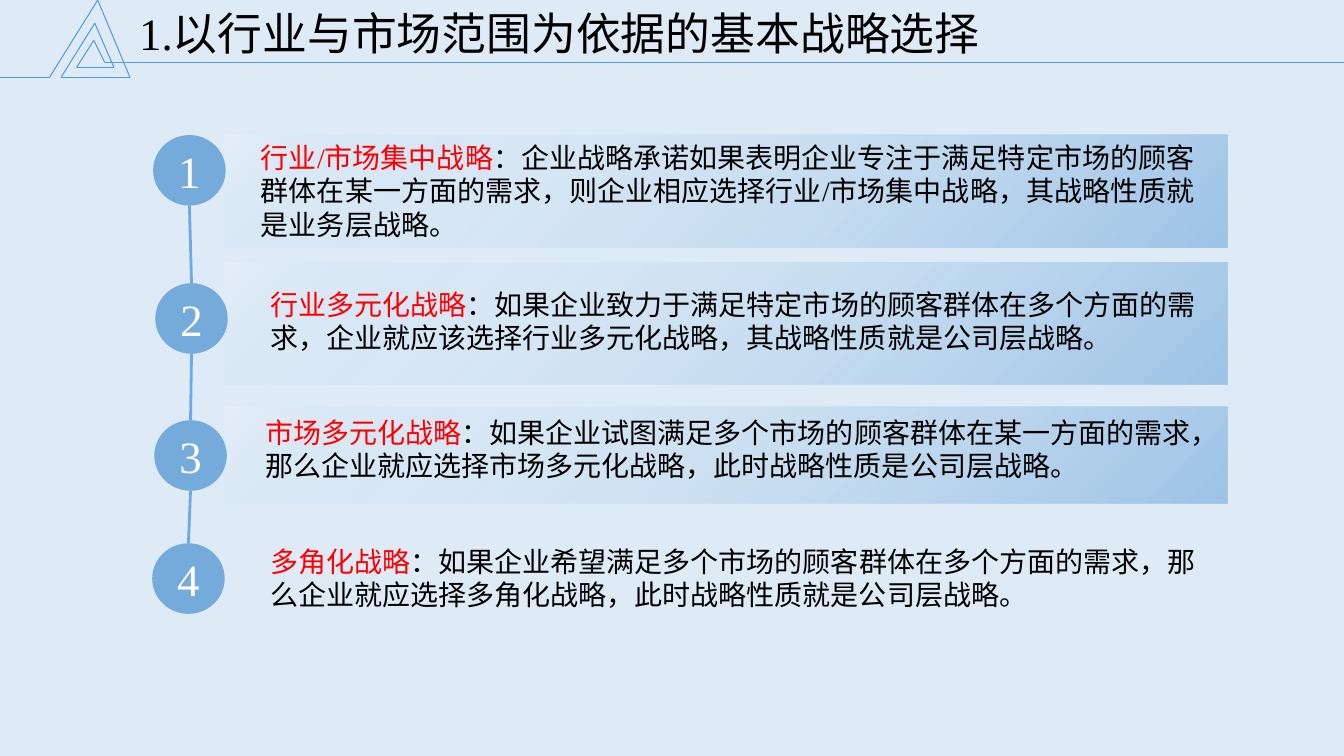
from itertools import pairwise

from pptx import Presentation
from pptx.dml.color import RGBColor
from pptx.enum.shapes import MSO_CONNECTOR, MSO_SHAPE
from pptx.enum.text import MSO_ANCHOR, MSO_AUTO_SIZE, PP_ALIGN
from pptx.oxml import parse_xml
from pptx.oxml.ns import nsdecls, qn
from pptx.util import Pt

STRAIGHT = MSO_CONNECTOR.STRAIGHT
RECTANGLE, OVAL = MSO_SHAPE.RECTANGLE, MSO_SHAPE.OVAL
TOP, MIDDLE = MSO_ANCHOR.TOP, MSO_ANCHOR.MIDDLE
FIXED, GROW = MSO_AUTO_SIZE.NONE, MSO_AUTO_SIZE.SHAPE_TO_FIT_TEXT
LEFT, CENTER = PP_ALIGN.LEFT, PP_ALIGN.CENTER

COLORS = {
    "background": "DEEBF7", "line": "4F9CE1", "circle": "5B9BD5", "pale": "B5D2EC",
    "white": "FFFFFF", "term": "FF0000", "text": "000000",
}
BAND_STOPS = [(0, "circle", 50), (67, "pale", 20), (88, "pale", 10), (100, "white", 20)]
EMBLEM = [
    (0, 55.4), (35.3, 55.4), (69.8, 0), (92.9, 55.4), (43.5, 55.4), (67.7, 16.6),
    (81.4, 48.2), (54.7, 48.2), (67, 28.8), (74.9, 44.6), (960, 44.6),
]
CIRCLE_WIDTH, CIRCLE_HEIGHT = 51.8, 50.4
BAND_LEFT, BAND_WIDTH = 160.6, 716.4
STRATEGIES = [
    {"term": "行业/市场集中战略",
     "detail": "：企业战略承诺如果表明企业专注于满足特定市场的顾客群体在某一方面的需求，则企业相应选择行业/市场集中战略，其战略性质就是业务层战略。",
     "circle": (109.4, 96.5), "band": (96.5, 80.6), "box": (179.3, 96.5, 692.6, 79.9)},
    {"term": "行业多元化战略",
     "detail": "：如果企业致力于满足特定市场的顾客群体在多个方面的需求，企业就应该选择行业多元化战略，其战略性质就是公司层战略。",
     "circle": (110.9, 202.3), "band": (187.2, 87.8), "box": (185.8, 201.6, 690.5, 55.4)},
    {"term": "市场多元化战略",
     "detail": "：如果企业试图满足多个市场的顾客群体在某一方面的需求，那么企业就应选择市场多元化战略，此时战略性质是公司层战略。",
     "circle": (110.2, 300.2), "band": (290.2, 69.8), "box": (182.2, 293, 694, 55.4)},
    {"term": "多角化战略",
     "detail": "：如果企业希望满足多个市场的顾客群体在多个方面的需求，那么企业就应选择多角化战略，此时战略性质就是公司层战略。",
     "circle": (108.7, 388.1), "band": None, "box": (185.8, 385.2, 694, 55.4)},
]


def apply(target, values):
    """Set each named attribute of the target."""
    for name, value in values.items():
        setattr(target, name, value)


def set_alpha(element, percent):
    """Give every colour inside the element an opacity."""
    for color in element.iter(qn("a:srgbClr")):
        color.append(parse_xml(f'<a:alpha {nsdecls("a")} val="{percent * 1000}"/>'))


class StrategySlide:
    """Hold the slide style and draw each kind of element."""

    def __init__(self, slide, font_name):
        """Keep the slide and font, and paint the background."""
        self.slide = slide
        self.font_name = font_name
        fill = slide.background.fill
        fill.solid()
        fill.fore_color.rgb = self.rgb("background")

    def rgb(self, color):
        """Return a palette colour."""
        return RGBColor.from_string(COLORS[color])

    def fill_text(self, frame, runs, size, frame_format, paragraph_format):
        """Fill a text frame with one paragraph of coloured runs."""
        apply(frame, frame_format)
        paragraph = frame.paragraphs[0]
        apply(paragraph, paragraph_format)
        for text, color in runs:
            run = paragraph.add_run()
            run.text = text
            apply(run.font, {"name": self.font_name, "size": Pt(size)})
            run.font.color.rgb = self.rgb(color)

    def title(self, text, left, top, width, height):
        """Place the title placeholder and fill it."""
        heading = self.slide.shapes.title
        apply(heading, {"left": Pt(left), "top": Pt(top), "width": Pt(width), "height": Pt(height)})
        self.fill_text(heading.text_frame, [(text, "text")], 32,
                       {"word_wrap": True, "auto_size": FIXED, "vertical_anchor": TOP},
                       {"alignment": LEFT, "line_spacing": 0.9, "space_before": Pt(0)})

    def line(self, start, end, width, opacity=100):
        """Draw a straight line between two points."""
        connector = self.slide.shapes.add_connector(STRAIGHT, *map(Pt, start + end))
        connector.line.width = Pt(width)
        connector.line.color.rgb = self.rgb("line")
        properties = connector.element.spPr
        if opacity < 100:
            set_alpha(properties, opacity)
        properties.append(parse_xml(f'<a:effectLst {nsdecls("a")}/>'))

    def shape(self, kind, left, top, width, height):
        """Add a preset shape without line or shadow."""
        shape = self.slide.shapes.add_shape(kind, Pt(left), Pt(top), Pt(width), Pt(height))
        shape.shadow.inherit = False
        shape.line.fill.background()
        return shape

    def band(self, top, height):
        """Draw a gradient band behind a strategy."""
        band = self.shape(RECTANGLE, BAND_LEFT, top, BAND_WIDTH, height)
        band.fill.background()
        stops = "".join(
            f'<a:gs pos="{position * 1000}"><a:srgbClr val="{COLORS[color]}">'
            f'<a:alpha val="{opacity * 1000}"/></a:srgbClr></a:gs>'
            for position, color, opacity in BAND_STOPS)
        gradient = parse_xml(
            f'<a:gradFill {nsdecls("a")} rotWithShape="1"><a:gsLst>{stops}</a:gsLst>'
            '<a:path path="circle"><a:fillToRect l="100000" t="100000"/></a:path></a:gradFill>')
        properties = band.element.spPr
        properties.replace(properties.find(qn("a:noFill")), gradient)

    def circle(self, number, left, top):
        """Draw a numbered circle."""
        circle = self.shape(OVAL, left, top, CIRCLE_WIDTH, CIRCLE_HEIGHT)
        circle.fill.solid()
        circle.fill.fore_color.rgb = self.rgb("circle")
        set_alpha(circle.element.spPr, 80)
        self.fill_text(circle.text_frame, [(str(number), "white")], 32,
                       {"vertical_anchor": MIDDLE}, {"alignment": CENTER})

    def description(self, term, detail, box):
        """Add a strategy name and its explanation."""
        textbox = self.slide.shapes.add_textbox(*map(Pt, box))
        self.fill_text(textbox.text_frame, [(term, "term"), (detail, "text")], 20,
                       {"word_wrap": True, "auto_size": GROW}, {"alignment": LEFT})


def main():
    """Build and save the strategy slide."""
    presentation = Presentation()
    apply(presentation, {"slide_width": Pt(960), "slide_height": Pt(540)})
    page = StrategySlide(presentation.slides.add_slide(presentation.slide_layouts[5]),
                         "Times New Roman")
    for start, end in pairwise(EMBLEM):
        page.line(start, end, 0.75)
    page.title("1.以行业与市场范围为依据的基本战略选择", 92.2, 5, 828, 48.2)
    for number, strategy in enumerate(STRATEGIES, 1):
        if strategy["band"]:
            page.band(*strategy["band"])
        page.description(strategy["term"], strategy["detail"], strategy["box"])
        page.circle(number, *strategy["circle"])
    for upper, lower in pairwise(strategy["circle"] for strategy in STRATEGIES):
        page.line((upper[0] + CIRCLE_WIDTH / 2, upper[1] + CIRCLE_HEIGHT),
                  (lower[0] + CIRCLE_WIDTH / 2, lower[1]), 2, 80)
    presentation.save("out.pptx")


if __name__ == "__main__":
    main()
